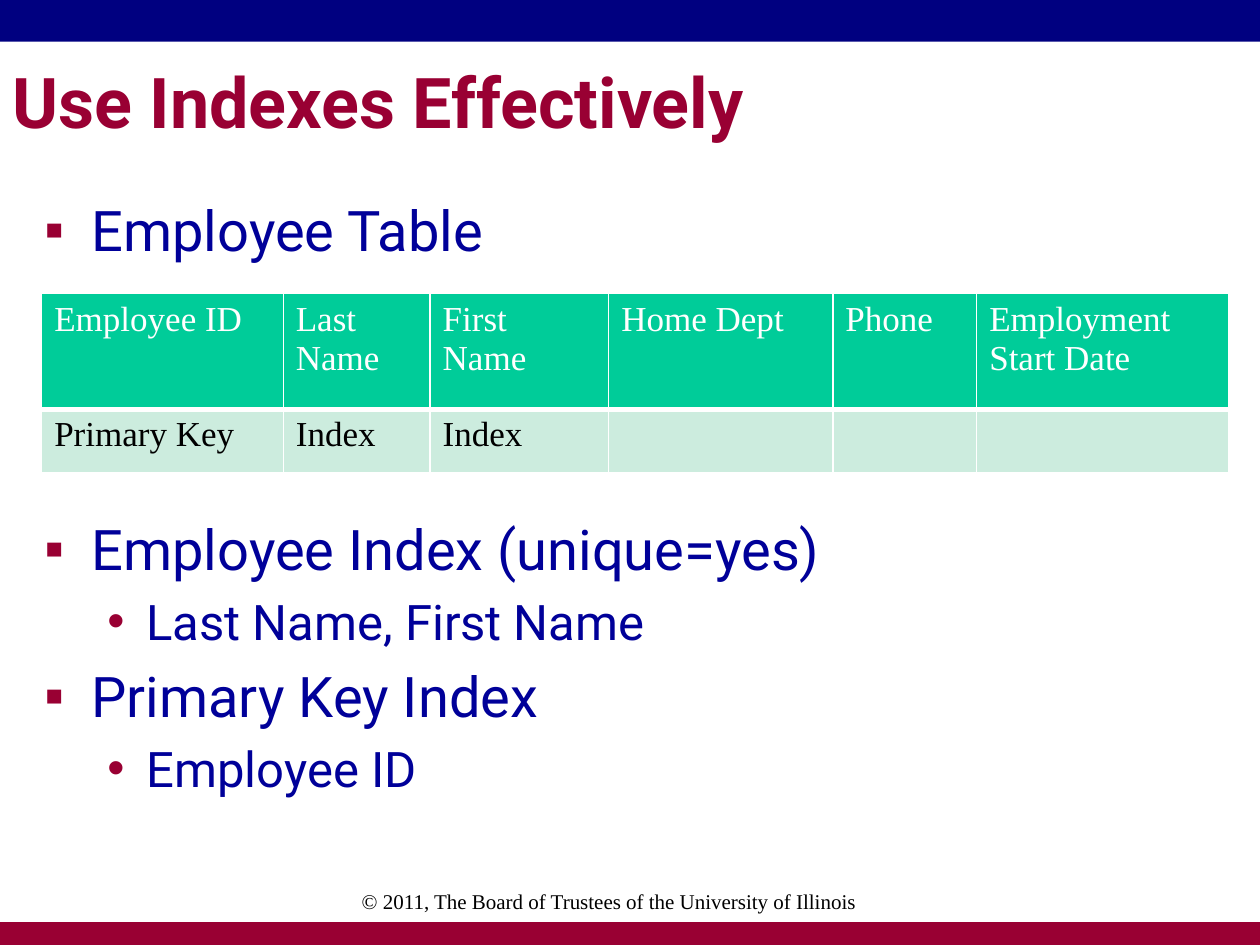
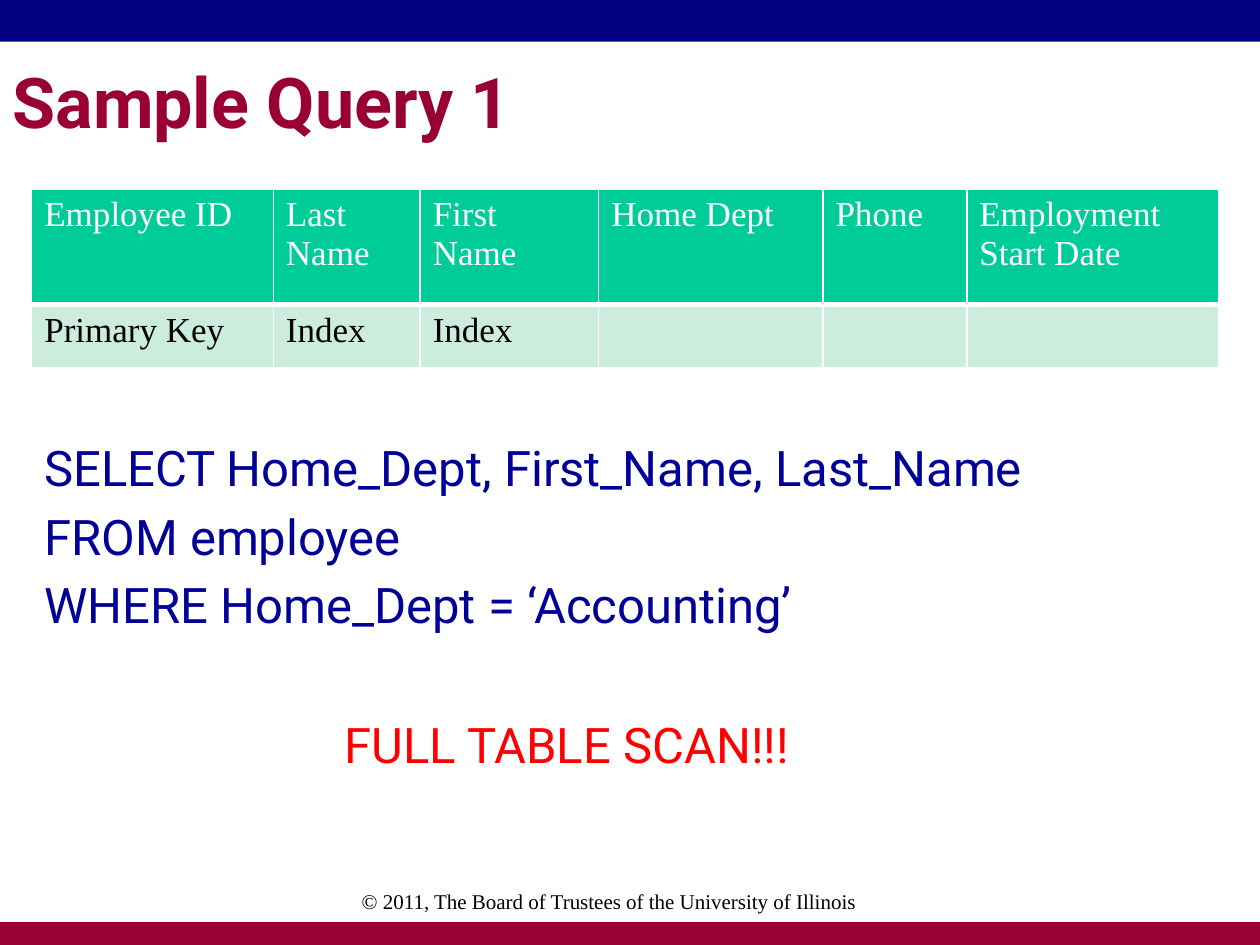
from lxml.etree import SubElement
from pptx import Presentation
from pptx.dml.color import RGBColor
from pptx.enum.shapes import MSO_SHAPE
from pptx.enum.text import MSO_ANCHOR, MSO_AUTO_SIZE, PP_ALIGN
from pptx.oxml.ns import qn
from pptx.util import Cm, Pt

# Content: body lines are (style, text, extra gap above in points or None)
FOOTER = "© 2011, The Board of Trustees of the University of Illinois"
EMPLOYEE_ROWS = [
    ["Employee ID", "Last Name", "First\nName", "Home Dept", "Phone",
     "Employment Start Date"],
    ["Primary Key", "Index", "Index", "", "", ""],
]
SLIDES = [
    {
        "title": "Use Indexes Effectively",
        "table_at": (0.84, 5.92),
        "body_box": (0.64, 3.81, 22.66, 13.34),
        "body": [
            ("topic", "Employee Table", None),
            ("topic", "Employee Index (unique=yes)", 144),
            ("detail", "Last Name, First Name", None),
            ("topic", "Primary Key Index", None),
            ("detail", "Employee ID", None),
        ],
    },
    {
        "title": "Sample Query 1",
        "table_at": (0.64, 3.81),
        "body_box": (0.64, 8.69, 21.59, 7.82),
        "body": [
            ("query", "SELECT Home_Dept, First_Name, Last_Name", None),
            ("query", "FROM employee", None),
            ("query", "WHERE Home_Dept = ‘Accounting’", None),
            ("warning", "FULL TABLE SCAN!!!", 46),
        ],
    },
]

# Shared look
COLORS = {"navy": "000080", "maroon": "990033", "blue": "000099",
          "red": "FF0000", "black": "000000", "white": "FFFFFF",
          "green": "00CC99", "mint": "CCECDE"}
HEADING_FONT, PLAIN_FONT = "Roboto", "Times New Roman"
SLIDE_WIDTH, SLIDE_HEIGHT = 25.4, 19.05
BANDS = [("navy", 0, 0.84), ("maroon", 18.59, 0.46)]
TITLE_BOX = (0, 0.43, 21.59, 3.18)
FOOTER_BOX = (5.51, 17.78, 13.54, 1.27)
COLUMN_WIDTHS = [4.87, 2.96, 3.6, 4.52, 2.9, 5.08]
ROW_HEIGHTS = [2.33, 1.27]
ROW_COLORS = [("green", "white"), ("mint", "black")]
# size, colour, bullet, level, left margin, first-line indent
LINE_STYLES = {
    "topic": (32, "blue", "▪", 0, 0.95, -0.95),
    "detail": (28, "blue", "•", 1, 2.06, -0.79),
    "query": (28, "blue", None, 0, 0.95, -0.95),
    "warning": (28, "red", None, 0, 6.05, 0),
}


def color(name):
    return RGBColor.from_string(COLORS[name])


def place(shape, box):
    shape.left, shape.top, shape.width, shape.height = map(Cm, box)


def format_runs(paragraph, font_name, size, color_name, bold=False):
    for run in paragraph.runs:
        run.font.name = font_name
        run.font.size = Pt(size)
        run.font.bold = bold
        run.font.color.rgb = color(color_name)


def add_color(parent, color_name):
    SubElement(parent, qn("a:srgbClr"), val=COLORS[color_name])


def add_bands(slide, layout):
    """Draw the bands and move them behind everything on the layout."""
    for color_name, top, height in BANDS:
        band = slide.shapes.add_shape(
            MSO_SHAPE.RECTANGLE, 0, Cm(top), Cm(SLIDE_WIDTH), Cm(height))
        band.shadow.inherit = False
        band.fill.solid()
        band.fill.fore_color.rgb = color(color_name)
        band.line.fill.background()
        layout.shapes.element.insert(2, band.element)


def add_title(slide, text):
    title = slide.shapes.title
    place(title, TITLE_BOX)
    text_frame = title.text_frame
    text_frame.text = text
    text_frame.auto_size = MSO_AUTO_SIZE.NONE
    text_frame.vertical_anchor = MSO_ANCHOR.MIDDLE
    paragraph = text_frame.paragraphs[0]
    paragraph.alignment = PP_ALIGN.LEFT
    format_runs(paragraph, HEADING_FONT, 40, "maroon", bold=True)


def format_line(paragraph, style, gap):
    size, color_name, bullet, level, margin, indent = LINE_STYLES[style]
    paragraph.level = level
    format_runs(paragraph, HEADING_FONT, size, color_name)
    properties = paragraph._p.get_or_add_pPr()
    properties.set("marL", str(Cm(margin)))
    properties.set("indent", str(Cm(indent)))
    spacing = SubElement(properties, qn("a:spcBef"))
    if gap is None:
        SubElement(spacing, qn("a:spcPct"), val="20000")
    else:
        SubElement(spacing, qn("a:spcPts"), val=str(gap * 100))
    if bullet:
        add_color(SubElement(properties, qn("a:buClr")), "maroon")
        SubElement(properties, qn("a:buChar"), char=bullet)
    else:
        SubElement(properties, qn("a:buNone"))


def add_body(slide, box, lines):
    body = slide.placeholders[1]
    place(body, box)
    text_frame = body.text_frame
    text_frame.text = "\n".join(text for _, text, _ in lines)
    text_frame.auto_size = MSO_AUTO_SIZE.NONE
    for paragraph, (style, _, gap) in zip(text_frame.paragraphs, lines):
        format_line(paragraph, style, gap)


def set_borders(cell, widths):
    """Add white borders before the fill, as the cell schema requires."""
    properties = cell._tc.get_or_add_tcPr()
    for side, width in widths.items():
        line = SubElement(properties, qn(f"a:ln{side}"), w=str(Pt(width)))
        add_color(SubElement(line, qn("a:solidFill")), "white")


def add_employee_table(slide, position):
    frame = slide.shapes.add_table(
        len(ROW_HEIGHTS), len(COLUMN_WIDTHS), *map(Cm, position),
        Cm(sum(COLUMN_WIDTHS)), Cm(sum(ROW_HEIGHTS)))
    table = frame.table
    for column, width in zip(table.columns, COLUMN_WIDTHS):
        column.width = Cm(width)
    for row_index, (row, height) in enumerate(zip(table.rows, ROW_HEIGHTS)):
        row.height = Cm(height)
        fill_color, text_color = ROW_COLORS[row_index]
        inner_side = "B" if row_index == 0 else "T"
        widths = {side: 3 if side == inner_side else 1 for side in "LRTB"}
        for cell, text in zip(row.cells, EMPLOYEE_ROWS[row_index]):
            set_borders(cell, widths)
            cell.fill.solid()
            cell.fill.fore_color.rgb = color(fill_color)
            cell.text_frame.text = text
            for paragraph in cell.text_frame.paragraphs:
                format_runs(paragraph, PLAIN_FONT, 20, text_color)


def add_footer(slide):
    footer = slide.shapes.add_textbox(*map(Cm, FOOTER_BOX))
    footer.text_frame.word_wrap = True
    footer.text_frame.text = FOOTER
    paragraph = footer.text_frame.paragraphs[0]
    paragraph.alignment = PP_ALIGN.CENTER
    format_runs(paragraph, PLAIN_FONT, 12, "black")


def main():
    presentation = Presentation()
    presentation.slide_width = Cm(SLIDE_WIDTH)
    presentation.slide_height = Cm(SLIDE_HEIGHT)
    layout = presentation.slide_layouts[1]
    for content in SLIDES:
        slide = presentation.slides.add_slide(layout)
        add_title(slide, content["title"])
        add_body(slide, content["body_box"], content["body"])
        add_footer(slide)
        add_employee_table(slide, content["table_at"])
    add_bands(presentation.slides[0], layout)
    presentation.save("out.pptx")


if __name__ == "__main__":
    main()
